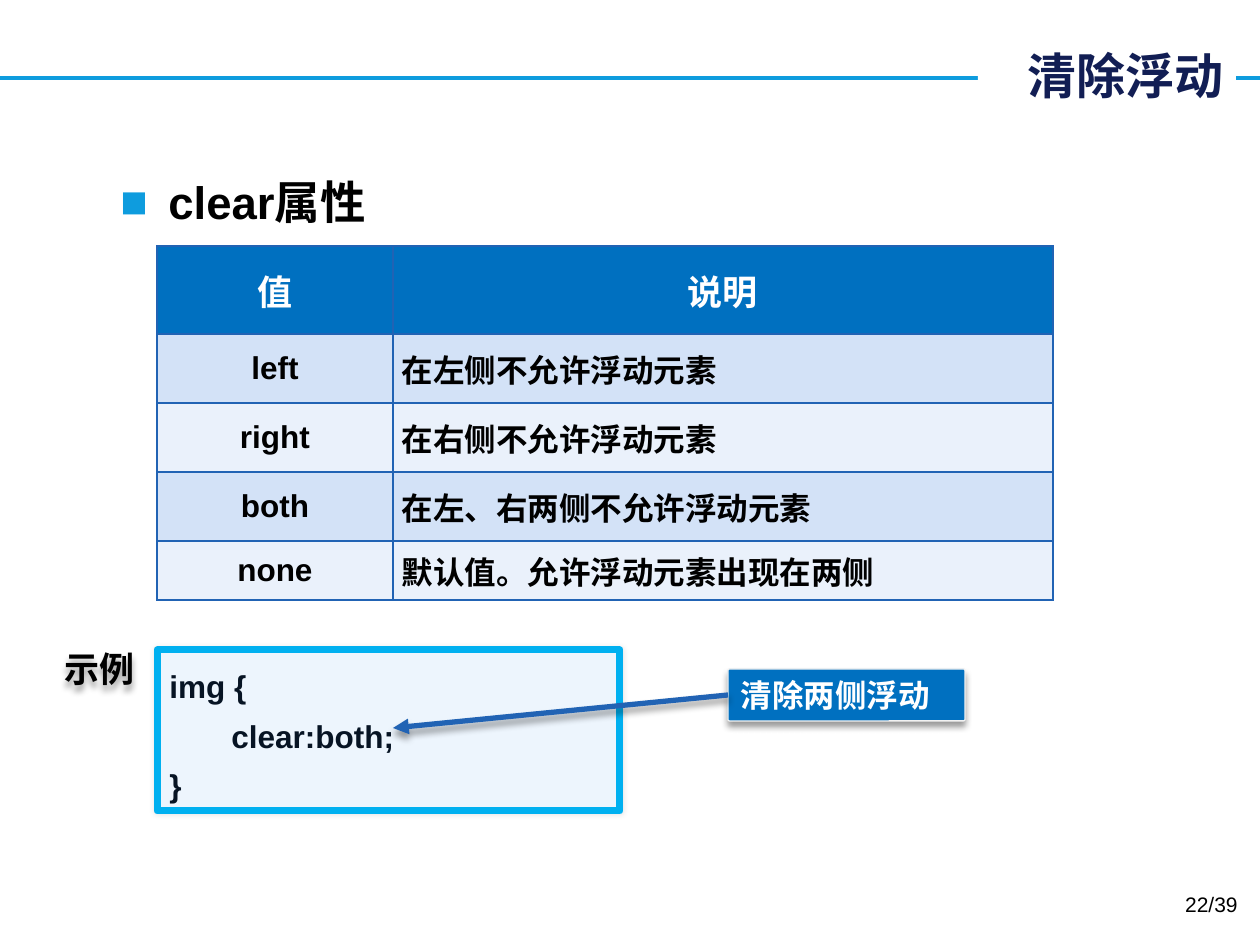
from dataclasses import dataclass
from typing import Any, NamedTuple, Optional

from lxml import etree
from pptx import Presentation
from pptx.dml.color import RGBColor
from pptx.enum.shapes import MSO_CONNECTOR, MSO_SHAPE
from pptx.enum.text import MSO_ANCHOR, PP_ALIGN
from pptx.oxml import parse_xml
from pptx.oxml.ns import nsdecls, qn
from pptx.util import Emu, Pt

ROUND_RECT = MSO_SHAPE.ROUNDED_RECTANGLE
STRAIGHT = MSO_CONNECTOR.STRAIGHT
TOP, MIDDLE, BOTTOM = MSO_ANCHOR.TOP, MSO_ANCHOR.MIDDLE, MSO_ANCHOR.BOTTOM
LEFT, CENTER, RIGHT = PP_ALIGN.LEFT, PP_ALIGN.CENTER, PP_ALIGN.RIGHT
LEFT_SIDE = 1
PX = 914400 / 126


@dataclass(frozen=True)
class Theme:
    latin: str = "Arial"
    cjk: str = "Noto Sans CJK SC"
    white: str = "FFFFFF"
    black: str = "000000"
    navy: str = "121E54"
    ink: str = "071424"
    accent: str = "0E9CDE"
    header: str = "0070C0"
    bands: tuple[str, str] = ("D3E2F7", "EAF1FB")
    border: str = "2163B4"
    code_fill: str = "EDF5FD"
    code_line: str = "00B0F0"
    callout_line: str = "F2F2F2"
    title: int = 28
    heading: int = 26
    label: int = 20
    body: int = 18
    page: int = 12


T = Theme()


class Box(NamedTuple):
    x: int
    y: int
    w: int
    h: int


class Shadow(NamedTuple):
    alpha: int
    blur: int
    dist: int
    angle: int


@dataclass(frozen=True)
class Style:
    size: int
    color: str
    font: str = T.latin
    bold: bool = True
    align: Any = LEFT
    anchor: Any = TOP
    spacing: float = 1.0
    tab: int = 0
    bullet: str = ""
    indent: int = 0


@dataclass(frozen=True)
class TextItem:
    box: Box
    text: str
    style: Style
    fill: Optional[str] = None
    wrap: bool = True
    shadow: Optional[Shadow] = None


@dataclass(frozen=True)
class Panel:
    box: Box
    lines: tuple[str, ...]
    style: Style
    fill: str
    line: str
    width: float
    radius: float
    shadow: Shadow


SOFT = Shadow(10, 3, 0, 0)
DROP = Shadow(40, 4, 3, 90)

TEXTS = (
    TextItem(Box(978, 39, 258, 72), "清除浮动",
             Style(T.title, T.navy, T.cjk, align=RIGHT, anchor=MIDDLE), fill=T.white),
    TextItem(Box(108, 168, 1053, 709), "clear属性",
             Style(T.heading, T.black, bullet="■", indent=48)),
    TextItem(Box(52, 641, 97, 55), "示例",
             Style(T.label, T.black, T.cjk, anchor=MIDDLE), wrap=False, shadow=DROP),
    TextItem(Box(956, 885, 294, 50), "22/39",
             Style(T.page, T.black, bold=False, align=RIGHT)),
)
CODE = Panel(Box(157, 650, 463, 161), ("img {", "\tclear:both;", "}"),
             Style(T.body, T.ink, spacing=1.3, tab=62),
             T.code_fill, T.code_line, 4, 0, SOFT)
CALLOUT = Panel(Box(728, 669, 237, 52), ("清除两侧浮动",),
                Style(T.body, T.white, anchor=BOTTOM),
                T.header, T.callout_line, 0.75, 0.03, DROP)
ROWS = (
    ("值", "说明"),
    ("left", "在左侧不允许浮动元素"),
    ("right", "在右侧不允许浮动元素"),
    ("both", "在左、右两侧不允许浮动元素"),
    ("none", "默认值。允许浮动元素出现在两侧"),
)
TABLE_AT = (157, 246)
COL_WIDTHS = (236, 660)
ROW_HEIGHTS = (88, 69, 69, 69, 59)


def px(n: int) -> Emu:
    return Emu(round(n * PX))


def rgb(color: str) -> RGBColor:
    return RGBColor.from_string(color)


def assign(target: Any, values: dict[str, Any]) -> None:
    for name, value in values.items():
        setattr(target, name, value)


def paint(fill: Any, color: str) -> None:
    fill.solid()
    fill.fore_color.rgb = rgb(color)


def set_effect(sp: Any, shadow: Optional[Shadow] = None) -> None:
    effects = etree.SubElement(sp._element.spPr, qn("a:effectLst"))
    if shadow:
        effects.append(parse_xml(
            f'<a:outerShdw {nsdecls("a")} blurRad="{Pt(shadow.blur)}" dist="{Pt(shadow.dist)}" '
            f'dir="{shadow.angle * 60000}" rotWithShape="0"><a:srgbClr val="{T.black}">'
            f'<a:alpha val="{shadow.alpha * 1000}"/></a:srgbClr></a:outerShdw>'))


def write(tf: Any, lines: tuple[str, ...], st: Style) -> None:
    for i, text in enumerate(lines):
        p = tf.add_paragraph() if i else tf.paragraphs[0]
        assign(p, {"alignment": st.align, "line_spacing": st.spacing})
        ppr = p._p.get_or_add_pPr()
        if st.bullet:
            ppr.set("marL", str(px(st.indent)))
            ppr.set("indent", str(-px(st.indent)))
            for xml in (f'<a:buClr {nsdecls("a")}><a:srgbClr val="{T.accent}"/></a:buClr>',
                        f'<a:buFont {nsdecls("a")} typeface="{T.latin}"/>',
                        f'<a:buChar {nsdecls("a")} char="{st.bullet}"/>'):
                ppr.append(parse_xml(xml))
        if st.tab:
            ppr.append(parse_xml(f'<a:tabLst {nsdecls("a")}>'
                                 f'<a:tab pos="{px(st.tab)}" algn="l"/></a:tabLst>'))
        r = p.add_run()
        r.text = text
        assign(r.font, {"size": Pt(st.size), "bold": st.bold, "name": st.font})
        r.font.color.rgb = rgb(st.color)
        etree.SubElement(r._r.get_or_add_rPr(), qn("a:ea")).set("typeface", T.cjk)


def add_text(shapes: Any, item: TextItem) -> None:
    sp = shapes.add_textbox(*map(px, item.box))
    if item.fill:
        paint(sp.fill, item.fill)
    if item.shadow:
        set_effect(sp, item.shadow)
    assign(sp.text_frame, {"word_wrap": item.wrap, "vertical_anchor": item.style.anchor})
    write(sp.text_frame, (item.text,), item.style)


def add_panel(shapes: Any, panel: Panel) -> Any:
    sp = shapes.add_shape(ROUND_RECT, *map(px, panel.box))
    sp.adjustments[0] = panel.radius
    paint(sp.fill, panel.fill)
    paint(sp.line.fill, panel.line)
    sp.line.width = Pt(panel.width)
    set_effect(sp, panel.shadow)
    assign(sp.text_frame, {"word_wrap": True, "vertical_anchor": panel.style.anchor})
    write(sp.text_frame, panel.lines, panel.style)
    return sp


def add_line(shapes: Any, ends: Box, color: str, width: float,
             shadow: Optional[Shadow] = None) -> Any:
    ln = shapes.add_connector(STRAIGHT, *map(px, ends))
    paint(ln.line.fill, color)
    ln.line.width = Pt(width)
    set_effect(ln, shadow)
    return ln


def add_table(shapes: Any) -> None:
    table = shapes.add_table(len(ROWS), len(COL_WIDTHS), *map(px, TABLE_AT),
                             px(sum(COL_WIDTHS)), px(sum(ROW_HEIGHTS))).table
    for col, width in zip(table.columns, COL_WIDTHS):
        col.width = px(width)
    for i, (row, height) in enumerate(zip(table.rows, ROW_HEIGHTS)):
        row.height = px(height)
        for j, text in enumerate(ROWS[i]):
            cell = table.cell(i, j)
            assign(cell, {"vertical_anchor": MIDDLE, "margin_left": px(9),
                          "margin_right": px(9), "margin_top": 0, "margin_bottom": 0})
            paint(cell.fill, T.bands[(i - 1) % 2] if i else T.header)
            for k, side in enumerate("LRTB"):
                cell._tc.get_or_add_tcPr().insert(k, parse_xml(
                    f'<a:ln{side} {nsdecls("a")} w="{Pt(1)}"><a:solidFill>'
                    f'<a:srgbClr val="{T.border}"/></a:solidFill></a:ln{side}>'))
            write(cell.text_frame, (text,), Style(
                T.body if i else T.label, T.black if i else T.white,
                align=LEFT if i and j else CENTER))


def main() -> None:
    prs = Presentation()
    assign(prs, {"slide_width": px(1260), "slide_height": px(945)})
    shapes = prs.slides.add_slide(prs.slide_layouts[6]).shapes
    add_line(shapes, Box(0, 78, 1260, 78), T.accent, 2.25)
    for item in TEXTS:
        add_text(shapes, item)
    add_table(shapes)
    add_panel(shapes, CODE)
    callout = add_panel(shapes, CALLOUT)
    arrow = add_line(shapes, Box(728, 695, 393, 728), T.border, 3, DROP)
    arrow.begin_connect(callout, LEFT_SIDE)
    etree.SubElement(arrow.line._get_or_add_ln(), qn("a:tailEnd")).set("type", "triangle")
    prs.save("out.pptx")


if __name__ == "__main__":
    main()
